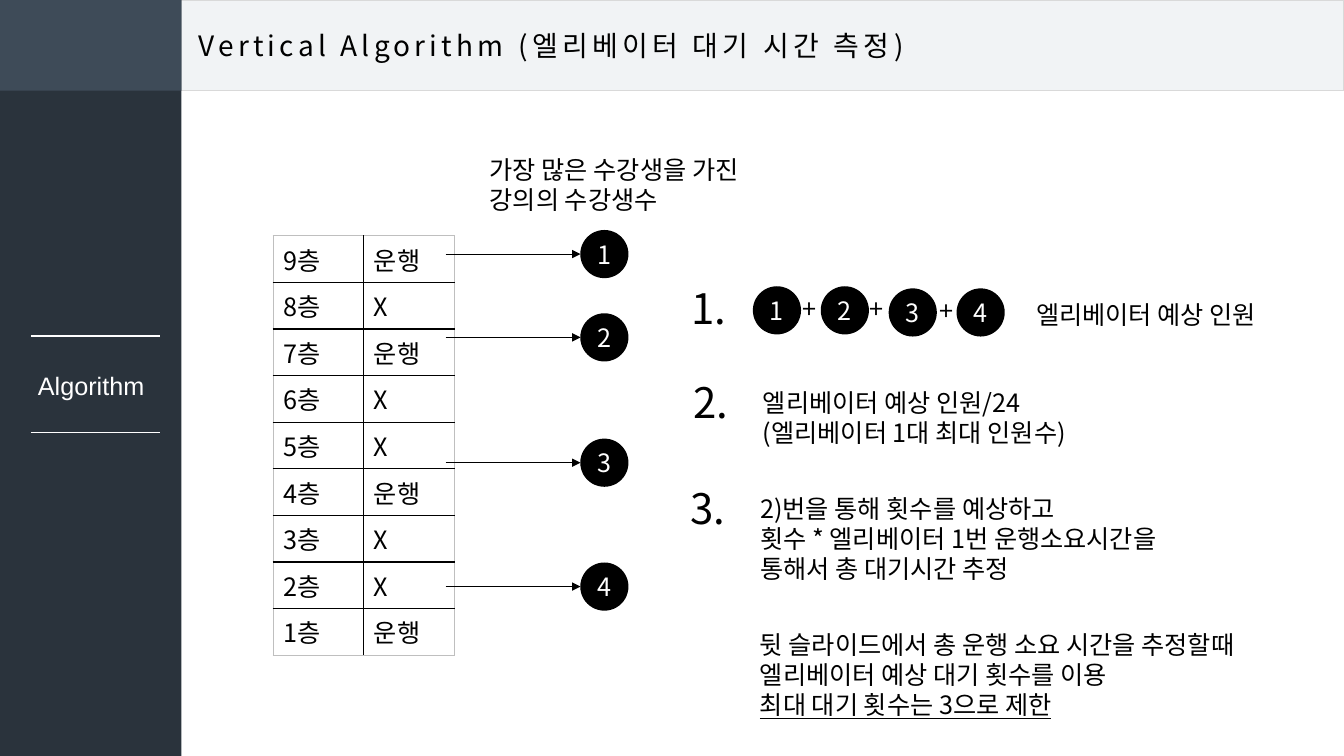
from lxml import etree
from pptx import Presentation
from pptx.dml.color import RGBColor
from pptx.enum import shapes, text
from pptx.oxml import ns
from pptx.util import Pt

HUES = {"black": "000000", "white": "FFFFFF", "bar": "F1F3F5", "edge": "D9D9D9",
        "side": "2A333C", "top": "3E4B58", "grid": "BFBFBF"}
FACE = "Noto Sans CJK KR"
FLOORS = ["운행", "X", "운행", "X", "X", "운행", "X", "X", "운행"]
STOPS = [181.5, 241, 330.5, 419]
DOT = 34.4
STEPS = [
    (486.5, 198, 733, 210.2, 191, ["엘리베이터 예상 인원"]),
    (488, 265.7, 537.8, 273.2, 262, ["엘리베이터 예상 인원/24", "(엘리베이터 1대 최대 인원수)"]),
    (486, 341.3, 536, 348.5, 330, ["2)번을 통해 횟수를 예상하고",
                               "횟수 * 엘리베이터 1번 운행소요시간을 통해서 총 대기시간 추정"]),
]


def hue(name):
    return RGBColor.from_string(HUES[name])


def style(par, size=18, color="black", face=FACE):
    font = par.font
    font.size, font.name = Pt(size), face
    font.color.rgb = hue(color)
    font._element.set("kern", "0")
    east = etree.SubElement(font._element, ns.qn("a:ea"))
    east.set("typeface", face)


def block(page, x, y, wide, lines, tall=29, wrap=True, **look):
    box = page.shapes.add_textbox(Pt(x), Pt(y), Pt(wide), Pt(tall))
    frame = box.text_frame
    frame.word_wrap = wrap
    frame.text = "\n".join(lines)
    for par in frame.paragraphs:
        style(par, **look)
    return frame


def panel(page, x, y, wide, tall, fill, edge=None, kind=shapes.MSO_SHAPE.RECTANGLE):
    shape = page.shapes.add_shape(kind, Pt(x), Pt(y), Pt(wide), Pt(tall))
    shape.shadow.inherit = False
    shape.fill.solid()
    shape.fill.fore_color.rgb = hue(fill)
    if edge:
        shape.line.color.rgb = hue(edge)
        shape.line.width = Pt(1)
    else:
        shape.line.fill.background()
    return shape


def badge(page, x, y, number):
    shape = panel(page, x, y, DOT, DOT, "black", kind=shapes.MSO_SHAPE.OVAL)
    frame = shape.text_frame
    frame.text = str(number)
    frame.vertical_anchor = text.MSO_ANCHOR.MIDDLE
    frame.paragraphs[0].alignment = text.PP_ALIGN.CENTER
    style(frame.paragraphs[0], color="white")


def rule(page, x, end, y, color, width, arrow=False):
    line = page.shapes.add_connector(shapes.MSO_CONNECTOR.STRAIGHT,
                                     Pt(x), Pt(y), Pt(end), Pt(y))
    line.line.color.rgb = hue(color)
    line.line.width = Pt(width)
    if arrow:
        tip = etree.SubElement(line.line._get_or_add_ln(), ns.qn("a:tailEnd"))
        tip.set("type", "triangle")
    etree.SubElement(line._element.spPr, ns.qn("a:effectLst"))


def border(cell, sides):
    props = cell._tc.get_or_add_tcPr()
    for index, (side, color) in enumerate(sides.items()):
        line = etree.Element(ns.qn("a:" + side), w=str(Pt(1)))
        fill = etree.SubElement(line, ns.qn("a:solidFill"))
        etree.SubElement(fill, ns.qn("a:srgbClr"), val=HUES[color])
        props.insert(index, line)


def tower(page):
    count = len(FLOORS)
    table = page.shapes.add_table(count, 2, Pt(195.1), Pt(168.5),
                                  Pt(129.6), Pt(33.3 * count)).table
    table.first_row = table.horz_banding = False
    for row, state in enumerate(FLOORS):
        for col, word in enumerate((f"{count - row}층", state)):
            cell = table.cell(row, col)
            cell.text = word
            cell.fill.background()
            style(cell.text_frame.paragraphs[0])
            border(cell, {"lnL": "black" if col else "grid",
                          "lnR": "grid" if col else "black",
                          "lnT": "black" if row else "grid",
                          "lnB": "black" if row < count - 1 else "grid"})


def header(page):
    panel(page, 113, 0, 847, 64.8, "bar", "edge")
    panel(page, 0, 0, 129.6, 540, "side")
    panel(page, 0, 0, 129.6, 64.8, "top")
    title = page.shapes.title
    page.shapes._spTree.append(title._element)
    title.left, title.top, title.width, title.height = Pt(134.6), Pt(16.6), Pt(548.6), Pt(31.7)
    frame = title.text_frame
    frame.text = "Vertical Algorithm (엘리베이터 대기 시간 측정)"
    frame.word_wrap = False
    frame.vertical_anchor = text.MSO_ANCHOR.MIDDLE
    par = frame.paragraphs[0]
    par.alignment = text.PP_ALIGN.LEFT
    style(par, 20)
    par.font._element.set("spc", "300")


def main():
    deck = Presentation()
    deck.slide_width, deck.slide_height = Pt(960), Pt(540)
    page = deck.slides.add_slide(deck.slide_layouts[5])
    header(page)
    for y, width in ((240, 1.5), (309, 1)):
        rule(page, 22, 114, y, "white", width)
    block(page, 20, 261, 96.5, ["Algorithm"], wrap=False, color="white", face="Arial")
    tower(page)
    block(page, 342.7, 106.6, 243.4, ["가장 많은 수강생을 가진", "강의의 수강생수"], 51)
    for index, y in enumerate(STOPS):
        rule(page, 318.4, 414.7, y, "black", 0.5, True)
        badge(page, 414.5, y - DOT / 2, index + 1)
        badge(page, 537.8 + 48.5 * index, 204.5 if index < 2 else 206, index + 1)
    for x, y in ((566, 206), (614.2, 206), (663.8, 207.4)):
        block(page, x, y, 34.6, ["+"])
    for index, (left, top, x, y, wide, lines) in enumerate(STEPS):
        block(page, left, top, 49.7, [f"{index + 1}."], 44, size=30)
        block(page, x, y, wide, lines, 29 + 22 * (len(lines) - 1))
    note = block(page, 535.7, 445.7, 406,
                 ["뒷 슬라이드에서 총 운행 소요 시간을 추정할때 엘리베이터 예상 대기 횟수를 이용",
                  "최대 대기 횟수는 3으로 제한"], 72.7)
    note.paragraphs[1].font.underline = True
    deck.save("out.pptx")


if __name__ == "__main__":
    main()
